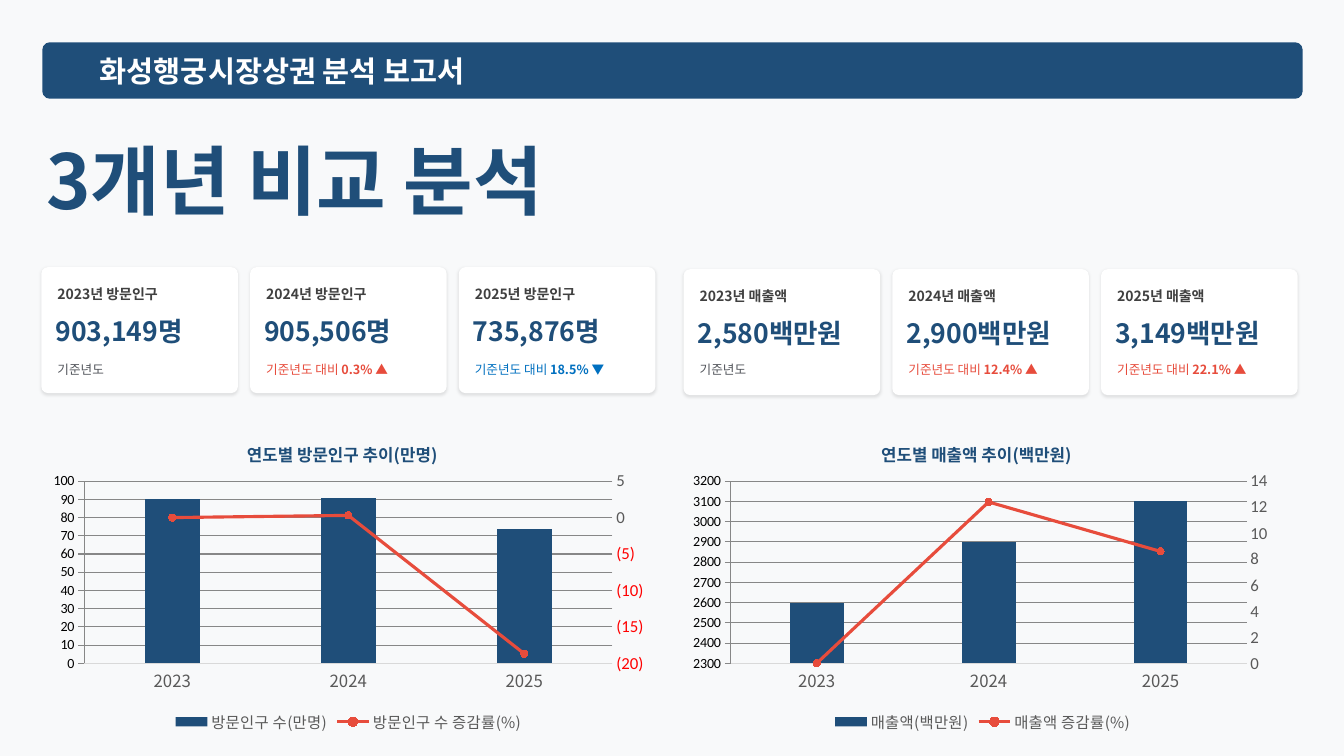
from dataclasses import dataclass

from lxml.etree import SubElement
from pptx import Presentation
from pptx.chart.axis import CategoryAxis, ValueAxis
from pptx.chart.chart import Chart
from pptx.chart.data import CategoryChartData
from pptx.dml.color import RGBColor
from pptx.enum.chart import XL_CHART_TYPE as ChartType
from pptx.enum.chart import XL_LEGEND_POSITION as LegendPosition
from pptx.enum.chart import XL_MARKER_STYLE as MarkerStyle
from pptx.enum.chart import XL_TICK_MARK as TickMark
from pptx.enum.shapes import MSO_SHAPE as ShapeKind
from pptx.enum.text import MSO_ANCHOR as Anchor
from pptx.oxml import parse_xml
from pptx.oxml.ns import nsdecls, qn
from pptx.oxml.xmlchemy import BaseOxmlElement as XmlElement
from pptx.shapes.autoshape import Shape
from pptx.slide import Slide
from pptx.text.text import Font
from pptx.util import Inches, Pt

NAVY = RGBColor(0x1F, 0x4E, 0x79)
RED = RGBColor(0xE7, 0x4C, 0x3C)
BLUE = RGBColor(0x00, 0x70, 0xC0)
WHITE = RGBColor(0xFF, 0xFF, 0xFF)
PAPER = RGBColor(0xF8, 0xF9, 0xFA)
CHARCOAL = RGBColor(0x40, 0x40, 0x40)
SLATE = RGBColor(0x51, 0x54, 0x5A)
AXIS_GRAY = RGBColor(0x59, 0x59, 0x59)
GRID_GRAY = RGBColor(0xD9, 0xD9, 0xD9)
BLACK = RGBColor(0, 0, 0)

KOREAN = "Noto Sans CJK KR"
LATIN = "Calibri"
YEARS = ("2023", "2024", "2025")
CARD_STEP = 2.07
CARD_WIDTH, CARD_HEIGHT = 1.95, 1.25
NOTE_TOP = 3.56


@dataclass(frozen=True)
class Phrase:
    text: str
    size: float
    color: RGBColor
    bold: bool = True


@dataclass(frozen=True)
class Card:
    label: str
    label_width: float
    value: str
    change: str = ""
    change_color: RGBColor = SLATE


@dataclass(frozen=True)
class CardRow:
    left: float
    top: float
    cards: tuple[Card, ...]


@dataclass(frozen=True)
class Trend:
    left: float
    title: str
    amount_name: str
    amounts: tuple[float, ...]
    rate_name: str
    rates: tuple[float, ...]
    number_format: str
    plot_left: float
    plot_width: float


CARD_ROWS = (
    CardRow(0.41, 2.65, (
        Card("2023년 방문인구", 1.12, "903,149명"),
        Card("2024년 방문인구", 1.08, "905,506명", "0.3% ▲", RED),
        Card("2025년 방문인구", 1.03, "735,876명", "18.5% ▼", BLUE),
    )),
    CardRow(6.78, 2.67, (
        Card("2023년 매출액", 0.95, "2,580백만원"),
        Card("2024년 매출액", 0.95, "2,900백만원", "12.4% ▲", RED),
        Card("2025년 매출액", 0.95, "3,149백만원", "22.1% ▲", RED),
    )),
)

TRENDS = (
    Trend(0.41, "연도별 방문인구 추이(만명)", "방문인구 수(만명)", (90, 91, 74),
          "방문인구 수 증감률(%)", (0, 0.3, -18.7),
          r"#,##0_);[Red]\(#,##0\)", 0.07, 0.86),
    Trend(6.7, "연도별 매출액 추이(백만원)", "매출액(백만원)", (2600, 2900, 3100),
          "매출액 증감률(%)", (0, 12.4, 8.6), "#,##0_ ", 0.09, 0.84),
)


def style_font(font: Font, size: float, color: RGBColor, name: str, bold: bool = False) -> None:
    font.size = Pt(size)
    font.name = name
    font.bold = bold
    font.color.rgb = color


def match_east_asian(root: XmlElement) -> None:
    for latin in list(root.iter(qn("a:latin"))):
        face = latin.get("typeface")
        latin.addnext(parse_xml(f'<a:ea {nsdecls("a")} typeface="{face}"/>'))


def add_text(slide: Slide, left: float, top: float, width: float, height: float,
             *phrases: Phrase) -> None:
    frame = slide.shapes.add_textbox(
        Inches(left), Inches(top), Inches(width), Inches(height)).text_frame
    frame.word_wrap = True
    frame.vertical_anchor = Anchor.MIDDLE
    frame.margin_left = frame.margin_right = frame.margin_top = frame.margin_bottom = 0
    for phrase in phrases:
        run = frame.paragraphs[0].add_run()
        run.text = phrase.text
        style_font(run.font, phrase.size, phrase.color, KOREAN, phrase.bold)


def add_panel(slide: Slide, left: float, top: float, width: float, height: float,
              corner: float, color: RGBColor) -> Shape:
    panel = slide.shapes.add_shape(
        ShapeKind.ROUNDED_RECTANGLE, Inches(left), Inches(top), Inches(width), Inches(height))
    panel.adjustments[0] = corner
    panel.fill.solid()
    panel.fill.fore_color.rgb = color
    panel.line.fill.background()
    panel.shadow.inherit = False
    return panel


def add_card(slide: Slide, left: float, top: float, card: Card) -> None:
    panel = add_panel(slide, left, top, CARD_WIDTH, CARD_HEIGHT, 0.053, WHITE)
    effects = panel.element.spPr.find(qn("a:effectLst"))
    shadow = SubElement(effects, qn("a:outerShdw"), blurRad=str(Pt(2)), dist=str(Pt(1)),
                        dir="5400000", algn="t", rotWithShape="0")
    shade = SubElement(shadow, qn("a:srgbClr"), val=str(BLACK))
    SubElement(shade, qn("a:alpha"), val="10000")
    add_text(slide, left + 0.16, top + 0.18, card.label_width, 0.17,
             Phrase(card.label, 10, CHARCOAL))
    add_text(slide, left + 0.14, top + 0.49, CARD_WIDTH, 0.29, Phrase(card.value, 19, NAVY))
    note = [Phrase("기준년도", 9, SLATE, False)]
    if card.change:
        note = [Phrase("기준년도 대비 ", 9, card.change_color, False),
                Phrase(card.change, 9, card.change_color)]
    add_text(slide, left + 0.16, NOTE_TOP, 1.75, 0.21, *note)


def manual_layout(target: str, **fractions: float) -> XmlElement:
    inner = f'<c:layoutTarget val="{target}"/>' if target else ""
    modes = '<c:xMode val="edge"/><c:yMode val="edge"/>'
    sizes = "".join(f'<c:{key} val="{share}"/>' for key, share in fractions.items())
    return parse_xml(f'<c:layout {nsdecls("c")}><c:manualLayout>{inner}{modes}{sizes}'
                     "</c:manualLayout></c:layout>")


def remove_children(parent: XmlElement, tag: str) -> None:
    for child in parent.findall(qn(tag)):
        parent.remove(child)


def move_rates_to_right_axis(chart: Chart) -> ValueAxis:
    plot_area = chart.element.find(".//" + qn("c:plotArea"))
    bars = plot_area.find(qn("c:barChart"))
    rates = bars.findall(qn("c:ser"))[1]
    remove_children(rates, "c:invertIfNegative")
    lines = parse_xml(
        f'<c:lineChart {nsdecls("c")}><c:grouping val="standard"/><c:varyColors val="0"/>'
        '<c:marker val="1"/><c:axId val="5001"/><c:axId val="5002"/></c:lineChart>')
    lines.insert(2, rates)
    bars.addnext(lines)
    right = parse_xml(
        f'<c:valAx {nsdecls("c")}><c:axId val="5002"/><c:scaling/><c:delete val="0"/>'
        '<c:axPos val="r"/><c:numFmt formatCode="General" sourceLinked="0"/>'
        '<c:majorTickMark val="out"/><c:minorTickMark val="none"/><c:tickLblPos val="nextTo"/>'
        '<c:crossAx val="5001"/><c:crosses val="max"/></c:valAx>')
    hidden = parse_xml(
        f'<c:catAx {nsdecls("c")}><c:axId val="5001"/><c:scaling/><c:delete val="1"/>'
        '<c:axPos val="b"/><c:crossAx val="5002"/></c:catAx>')
    plot_area.find(qn("c:valAx")).addnext(right)
    right.addnext(hidden)
    return ValueAxis(right)


def style_axis(axis: CategoryAxis | ValueAxis, font_name: str, tick: TickMark) -> None:
    axis.major_tick_mark = tick
    axis.minor_tick_mark = TickMark.NONE
    style_font(axis.tick_labels.font, 12, AXIS_GRAY, font_name)
    axis.format.line.fill.background()


def style_series(chart: Chart) -> None:
    bars, lines = chart.plots
    bars.gap_width = 219
    bars.vary_by_categories = False
    amounts, rates = bars.series[0], lines.series[0]
    rates.smooth = False
    rates.format.line.color.rgb = RED
    rates.format.line.width = Pt(2.25)
    rates.marker.style = MarkerStyle.CIRCLE
    rates.marker.size = 5
    rates.marker.format.line.color.rgb = RED
    for part, color in ((amounts, NAVY), (rates.marker, RED)):
        part.format.fill.solid()
        part.format.fill.fore_color.rgb = color


def add_trend(slide: Slide, trend: Trend) -> None:
    figures = CategoryChartData()
    figures.categories = YEARS
    figures.add_series(trend.amount_name, trend.amounts)
    figures.add_series(trend.rate_name, trend.rates)
    chart = slide.shapes.add_chart(
        ChartType.COLUMN_CLUSTERED, Inches(trend.left), Inches(4.14),
        Inches(6.09), Inches(3.17), figures).chart
    style_font(chart.font, 10, BLACK, LATIN)
    style_axis(move_rates_to_right_axis(chart), LATIN, TickMark.OUTSIDE)
    style_axis(chart.value_axis, LATIN, TickMark.NONE)
    style_axis(chart.category_axis, KOREAN, TickMark.NONE)
    chart.value_axis.tick_labels.number_format = trend.number_format
    chart.value_axis.tick_labels.number_format_is_linked = False
    for rule in (chart.category_axis.format.line, chart.value_axis.major_gridlines.format.line):
        rule.color.rgb = GRID_GRAY
        rule.width = Pt(0.75)
    style_series(chart)

    chart.has_legend = True
    chart.legend.position = LegendPosition.BOTTOM
    chart.legend.include_in_layout = False
    style_font(chart.legend.font, 11, AXIS_GRAY, KOREAN)

    chart.has_title = True
    heading = chart.chart_title.text_frame.paragraphs[0].add_run()
    heading.text = trend.title
    style_font(heading.font, 12, NAVY, KOREAN, True)
    title = chart.element.find(".//" + qn("c:title"))
    plot_area = chart.element.find(".//" + qn("c:plotArea"))
    for part in (title, plot_area):
        remove_children(part, "c:layout")
    title.find(qn("c:tx")).addnext(manual_layout("", x=0.33, y=0.06))
    plot_area.insert(0, manual_layout(
        "inner", x=trend.plot_left, y=0.2, w=trend.plot_width, h=0.57))
    match_east_asian(chart.element)


def main() -> None:
    deck = Presentation()
    deck.slide_width, deck.slide_height = Inches(13.33), Inches(7.5)
    slide = deck.slides.add_slide(deck.slide_layouts[6])
    slide.background.fill.solid()
    slide.background.fill.fore_color.rgb = PAPER
    for row in CARD_ROWS:
        for index, card in enumerate(row.cards):
            add_card(slide, row.left + index * CARD_STEP, row.top, card)
    add_panel(slide, 0.42, 0.42, 12.5, 0.56, 0.132, NAVY)
    add_text(slide, 0.99, 0.49, 11.35, 0.43, Phrase("화성행궁시장상권 분석 보고서", 21, WHITE))
    add_text(slide, 0.46, 1.23, 6.32, 1.09, Phrase("3개년 비교 분석", 54, NAVY))
    for trend in TRENDS:
        add_trend(slide, trend)
    match_east_asian(slide.element)
    deck.save("out.pptx")


if __name__ == "__main__":
    main()
